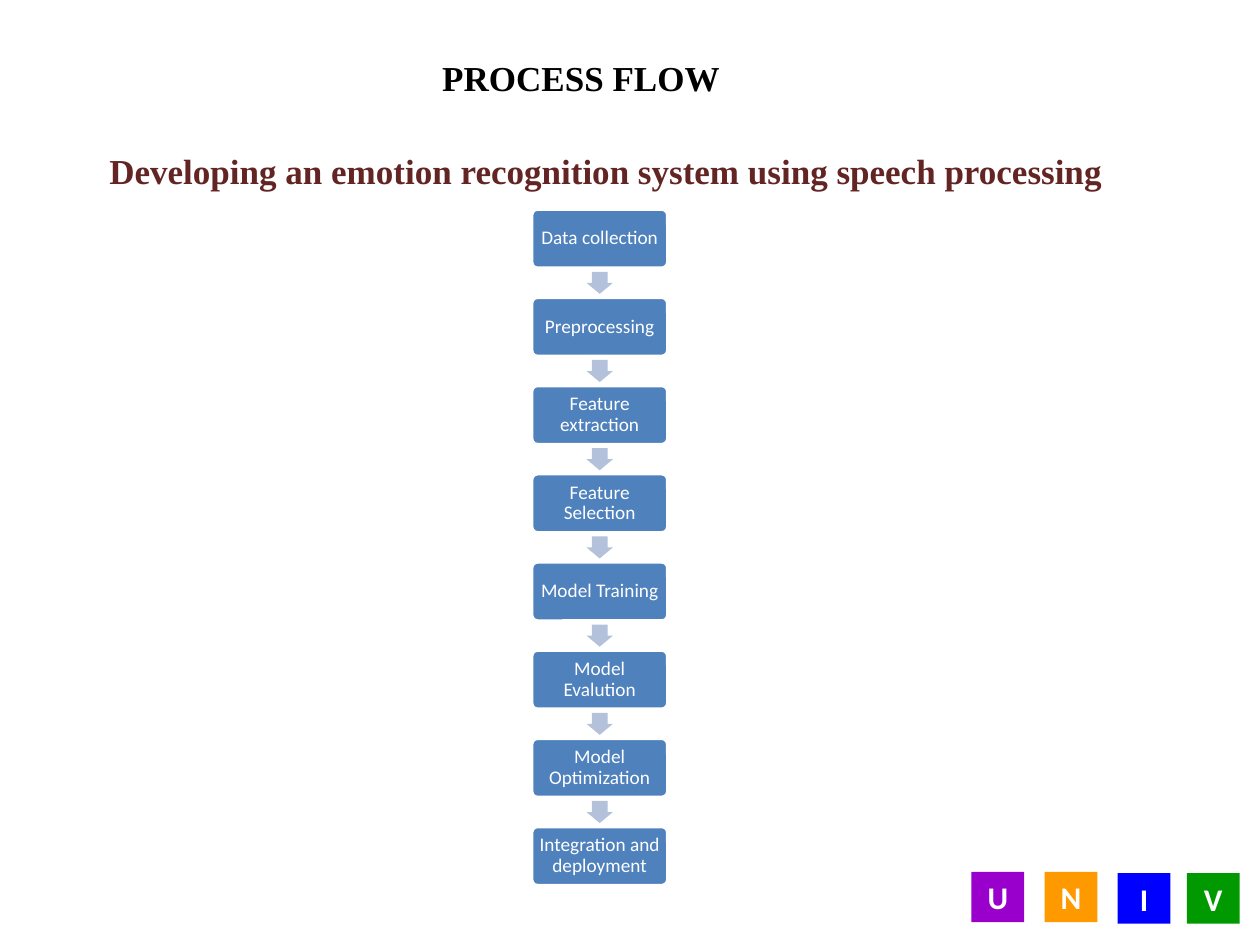
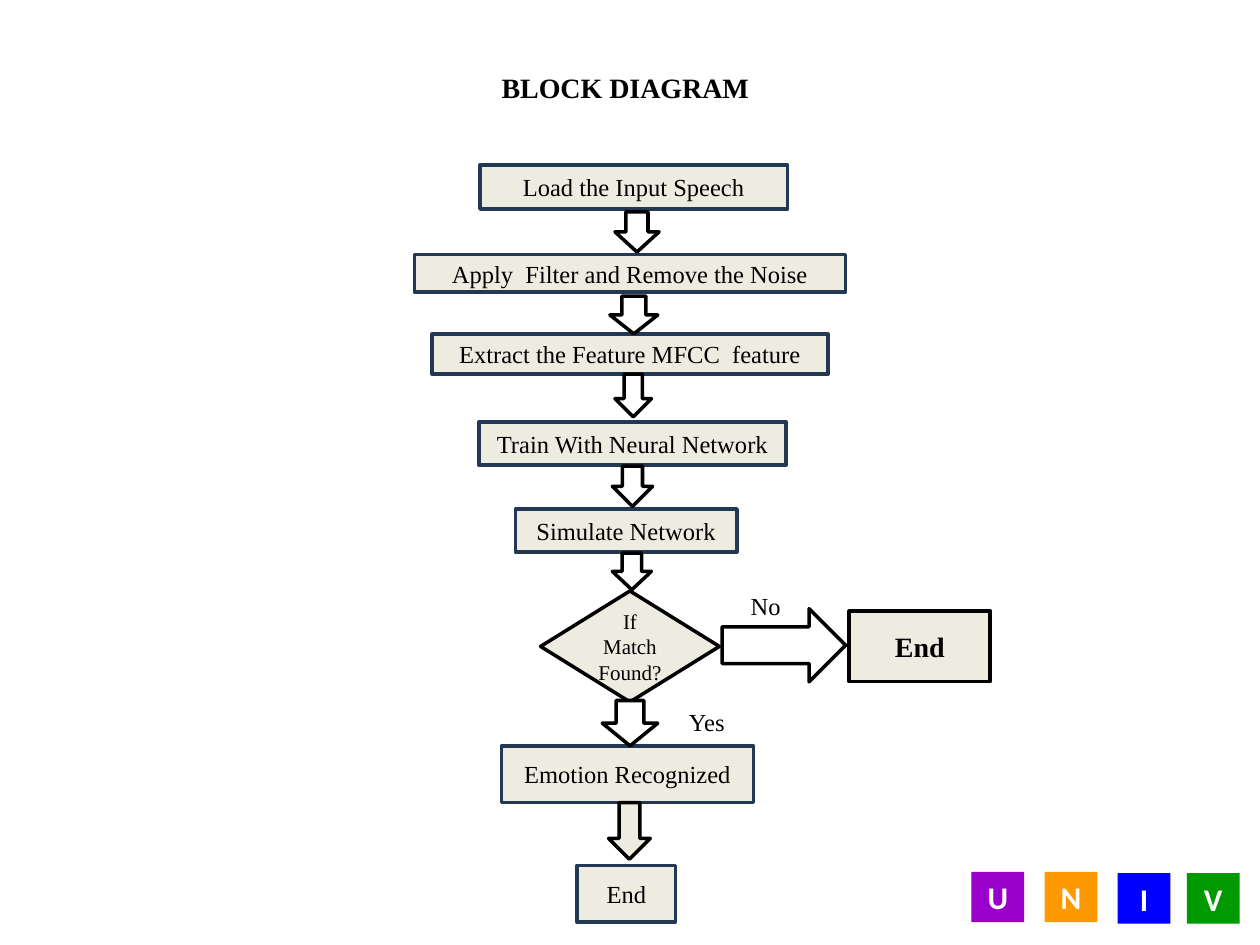
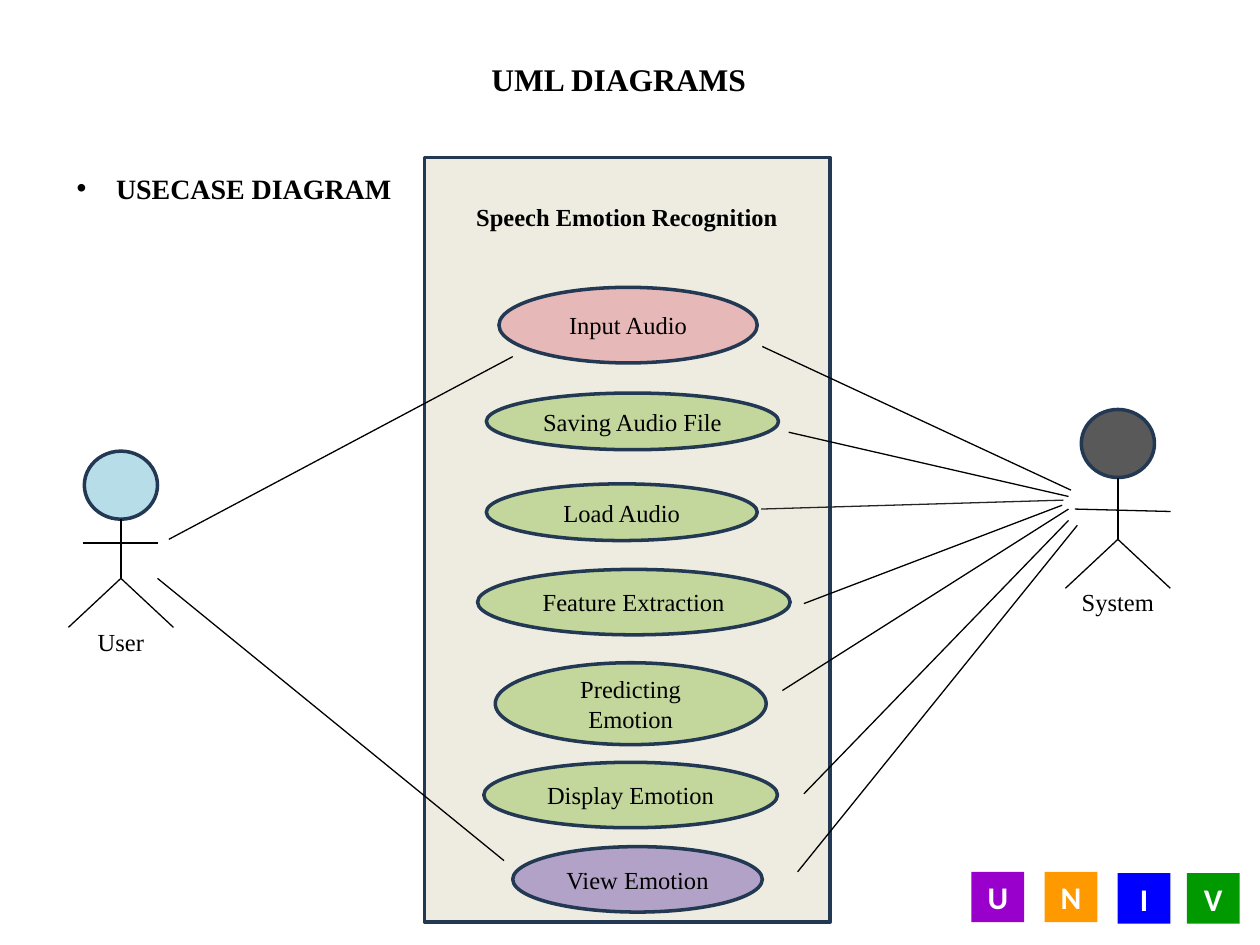
"""Build three slides on speech emotion recognition: process flow, block diagram and use cases."""
from lxml import etree
from pptx import Presentation
from pptx.dml.color import RGBColor
from pptx.enum.shapes import MSO_CONNECTOR, MSO_SHAPE
from pptx.enum.text import MSO_ANCHOR, MSO_AUTO_SIZE, PP_ALIGN
from pptx.oxml.ns import qn
from pptx.util import Pt

RECTANGLE, ROUNDED = MSO_SHAPE.RECTANGLE, MSO_SHAPE.ROUNDED_RECTANGLE
ELLIPSE, DIAMOND, HEAD = MSO_SHAPE.OVAL, MSO_SHAPE.DIAMOND, MSO_SHAPE.FLOWCHART_CONNECTOR
DOWN, RIGHT = MSO_SHAPE.DOWN_ARROW, MSO_SHAPE.RIGHT_ARROW
STRAIGHT = MSO_CONNECTOR.STRAIGHT
TOP, MIDDLE = MSO_ANCHOR.TOP, MSO_ANCHOR.MIDDLE
LEFT, CENTER = PP_ALIGN.LEFT, PP_ALIGN.CENTER
NO_AUTOSIZE = MSO_AUTO_SIZE.NONE
TITLE_ONLY = 5

COLORS = {
    "black": "000000", "white": "FFFFFF", "maroon": "632523", "navy": "233953",
    "beige": "EEECE1", "step": "4F81BD", "step arrow": "B3C1DB",
    "pink": "E6B9B8", "green": "C3D69B", "lilac": "B3A2C7",
    "sky": "B7DEE8", "gray": "595959", "dark": "262626",
    "purple tile": "9900CC", "orange tile": "FF9900",
    "blue tile": "0000FF", "green tile": "009900",
}
SERIF, SANS = "Times New Roman", "Calibri"

TILES = [
    ("U", 555.1, 498.2, "purple tile"), ("N", 596.9, 498.2, "orange tile"),
    ("I", 638.6, 499, "blue tile"), ("V", 678.2, 499, "green tile"),
]
STEPS = [
    "Data collection", "Preprocessing", "Feature extraction", "Feature Selection",
    "Model Training", "Model Evalution", "Model Optimization", "Integration and deployment",
]
BLOCKS = [
    ("Load the Input Speech", (274.3, 94.3, 175.7, 25.2)),
    ("Apply  Filter and Remove the Noise", (236.9, 145.4, 246.2, 21.6)),
    ("Extract the Feature MFCC  feature", (247, 190.8, 226.1, 23)),
    ("Train With Neural Network", (273.6, 241.2, 175.7, 24.5)),
    ("Simulate Network", (294.5, 290.9, 126.7, 24.5)),
    ("Emotion Recognized", (286.6, 426.2, 144, 32.4)),
    ("End", (329.8, 494.6, 56.2, 32.4)),
]
BLOCK_ARROWS = [
    (DOWN, (347.8, 458.6, 23.8, 32.4), "beige"),
    (DOWN, (344.2, 400.3, 31.7, 25.9), "white"),
    (DOWN, (349.9, 316.1, 22.3, 20.9), "white"),
    (DOWN, (349.9, 266.4, 23, 23), "white"),
    (DOWN, (351.4, 213.8, 20.9, 24.5), "white"),
    (DOWN, (348.5, 169.2, 27.4, 21.6), "white"),
    (DOWN, (351.4, 121, 25.2, 23), "white"),
    (RIGHT, (412.6, 347.8, 70.6, 41.8), "white"),
]
USE_CASES = [
    ("Input Audio", (285.1, 164.2, 147.6, 43.2), "pink"),
    ("Saving Audio File", (277.9, 224.6, 167, 32.4), "green"),
    ("Load Audio", (277.9, 276.5, 154.8, 32.4), "green"),
    ("Feature Extraction", (272.9, 325.4, 178.6, 37.4), "green"),
    ("Predicting Emotion", (283, 378.7, 154.8, 46.8), "green"),
    ("Display Emotion", (276.5, 435.6, 167.8, 37.4), "green"),
    ("View Emotion", (293, 483.8, 142.6, 37.4), "lilac"),
]
USER_LINKS = [((96.5, 308.2), (293, 203.8)), ((90, 330.5), (288, 491.8))]
SYSTEM_LINKS = [
    ((435.6, 198), (612, 280.1)), ((450.7, 247), (610.6, 283.7)),
    ((459.4, 344.9), (607, 288.7)), ((447.1, 394.6), (610.6, 290.9)),
    ((459.4, 453.6), (610.6, 297.4)), ((455.8, 498.2), (615.6, 300.2)),
]


def color(name):
    """Return the named colour."""
    return RGBColor.from_string(COLORS[name])


def set_values(target, values):
    """Set each attribute of the target from a dict."""
    for name, value in values.items():
        setattr(target, name, value)


def place(shape, box):
    """Move and size a shape to a box in points."""
    set_values(shape, dict(zip(("left", "top", "width", "height"), map(Pt, box))))


def write(shape, text, size=14, font=SERIF, ink="black", bold=False,
          align=CENTER, anchor=MIDDLE, spacing=1.0, inset=7.2):
    """Write one formatted paragraph into a shape and return it."""
    frame = shape.text_frame
    set_values(frame, {
        "word_wrap": True, "auto_size": NO_AUTOSIZE, "vertical_anchor": anchor,
        "margin_left": Pt(inset), "margin_right": Pt(inset),
        "margin_top": Pt(3.6), "margin_bottom": Pt(3.6),
    })
    paragraph = frame.paragraphs[0]
    set_values(paragraph, {"alignment": align, "line_spacing": spacing})
    run = paragraph.add_run()
    run.text = text
    set_values(run.font, {"size": Pt(size), "name": font, "bold": bold})
    run.font.color.rgb = color(ink)
    return paragraph


def add_label(slide, text, box, align=LEFT, **style):
    """Add a text box and return its paragraph."""
    label = slide.shapes.add_textbox(*map(Pt, box))
    return write(label, text, align=align, anchor=TOP, **style)


def add_box(slide, kind, box, fill, line=None, text="", **style):
    """Add a filled preset shape with optional outline and text."""
    shape = slide.shapes.add_shape(kind, *map(Pt, box))
    shape.shadow.inherit = False
    shape.fill.solid()
    shape.fill.fore_color.rgb = color(fill)
    if line:
        shape.line.color.rgb = color(line)
        shape.line.width = Pt(2)
    else:
        shape.line.fill.background()
    if text:
        write(shape, text, **style)
    return shape


def add_line(slide, start, end, ink="black"):
    """Add a thin straight line between two points."""
    line = slide.shapes.add_connector(STRAIGHT, *map(Pt, start + end))
    line.line.color.rgb = color(ink)
    line.line.width = Pt(0.75)
    etree.SubElement(line._element.spPr, qn("a:effectLst"))


def add_bullet(paragraph, indent):
    """Give a paragraph a hanging round bullet."""
    properties = paragraph._p.get_or_add_pPr()
    properties.set("marL", str(Pt(indent)))
    properties.set("indent", str(-Pt(indent)))
    etree.SubElement(properties, qn("a:buFont")).set("typeface", "Arial")
    etree.SubElement(properties, qn("a:buChar")).set("char", "•")


def add_actor(slide, name, center, top, hip, fill, arms):
    """Draw a stick figure with its name below."""
    add_box(slide, HEAD, (center - 20.9, top, 41.8, 38.9), fill, "navy")
    hips = (center, top + hip)
    add_line(slide, (center, top + 38.9), hips)
    for side in (-30, 30):
        add_line(slide, hips, (center + side, top + hip + 28))
    add_line(slide, *arms)
    add_label(slide, name, (center - 40, top + hip + 24, 80, 24.5), CENTER)


def new_slide(presentation, title, box, size):
    """Add a slide with its title and the row of letter tiles."""
    slide = presentation.slides.add_slide(presentation.slide_layouts[TITLE_ONLY])
    place(slide.shapes.title, box)
    write(slide.shapes.title, title, size=size, bold=True, align=LEFT, anchor=TOP)
    for letter, left, top, fill in TILES:
        add_box(slide, RECTANGLE, (left, top, 30.2, 28.8), fill, text=letter,
                size=18, font=SANS, ink="white", bold=True, inset=0)
    return slide


def build_process_flow(presentation):
    """Build the column of process steps."""
    slide = new_slide(presentation, "PROCESS FLOW", (245.5, 28.8, 339.8, 31.7), 20)
    add_label(slide, "Developing an emotion recognition system using speech processing",
              (55.4, 82.1, 620, 31.7), size=20, ink="maroon", bold=True)
    left, first_top, width, height, pitch = 303.8, 119.5, 77.8, 33.8, 50.4
    arrow_width, arrow_height = 15.1, 12.6
    for index, step in enumerate(STEPS):
        top = first_top + index * pitch
        box = add_box(slide, ROUNDED, (left, top, width, height), "step", "white", step,
                      size=11, font=SANS, ink="white", spacing=0.9, inset=3)
        box.adjustments[0] = 0.1
        if index:
            arrow_left = left + (width - arrow_width) / 2
            arrow_top = top - (pitch - height + arrow_height) / 2
            arrow = add_box(slide, DOWN, (arrow_left, arrow_top, arrow_width, arrow_height),
                            "step arrow")
            arrow.adjustments[0] = 0.6


def build_block_diagram(presentation):
    """Build the flow chart with its decision."""
    slide = new_slide(presentation, "BLOCK DIAGRAM", (279.4, 36.7, 246.2, 26.6), 16)
    for text, box in BLOCKS:
        add_box(slide, RECTANGLE, box, "beige", "navy", text)
    add_box(slide, DIAMOND, (308.9, 337.7, 102.2, 63.4), "beige", "black",
            "If Match Found?", size=12)
    for kind, box, fill in BLOCK_ARROWS:
        add_box(slide, kind, box, fill, "black")
    add_box(slide, RECTANGLE, (485.3, 349.2, 80.6, 40.3), "beige", "black", "End",
            size=16, bold=True)
    add_label(slide, "No", (421.9, 334.1, 46.1, 24.5))
    add_label(slide, "Yes", (386.6, 400.3, 81.4, 24.5))


def build_use_cases(presentation):
    """Build the use case diagram with its two actors."""
    slide = new_slide(presentation, "UML DIAGRAMS", (273.6, 30.6, 203.8, 51.1), 18)
    add_box(slide, RECTANGLE, (242.6, 90, 231.8, 437), "beige", "navy")
    add_label(slide, "Speech Emotion Recognition", (265, 112, 198, 24.5), bold=True)
    for text, box, fill in USE_CASES:
        add_box(slide, ELLIPSE, box, fill, "navy", text)
    add_actor(slide, "User", 69.1, 257.8, 72.7, "sky", ((47.5, 310.3), (90, 310.3)))
    add_actor(slide, "System", 638.8, 234, 74.2, "gray", ((614.2, 290.9), (668.9, 292.3)))
    for start, end in USER_LINKS + SYSTEM_LINKS:
        add_line(slide, start, end)
    add_line(slide, (434.9, 290.9), (607.7, 285.8), "dark")
    heading = add_label(slide, "USECASE DIAGRAM", (36.7, 94.3, 195.1, 26.6),
                        size=16, bold=True)
    add_bullet(heading, 22.5)


def main():
    """Build and save the presentation."""
    presentation = Presentation()
    set_values(presentation, {"slide_width": Pt(720), "slide_height": Pt(540)})
    build_process_flow(presentation)
    build_block_diagram(presentation)
    build_use_cases(presentation)
    presentation.save("out.pptx")


if __name__ == "__main__":
    main()
